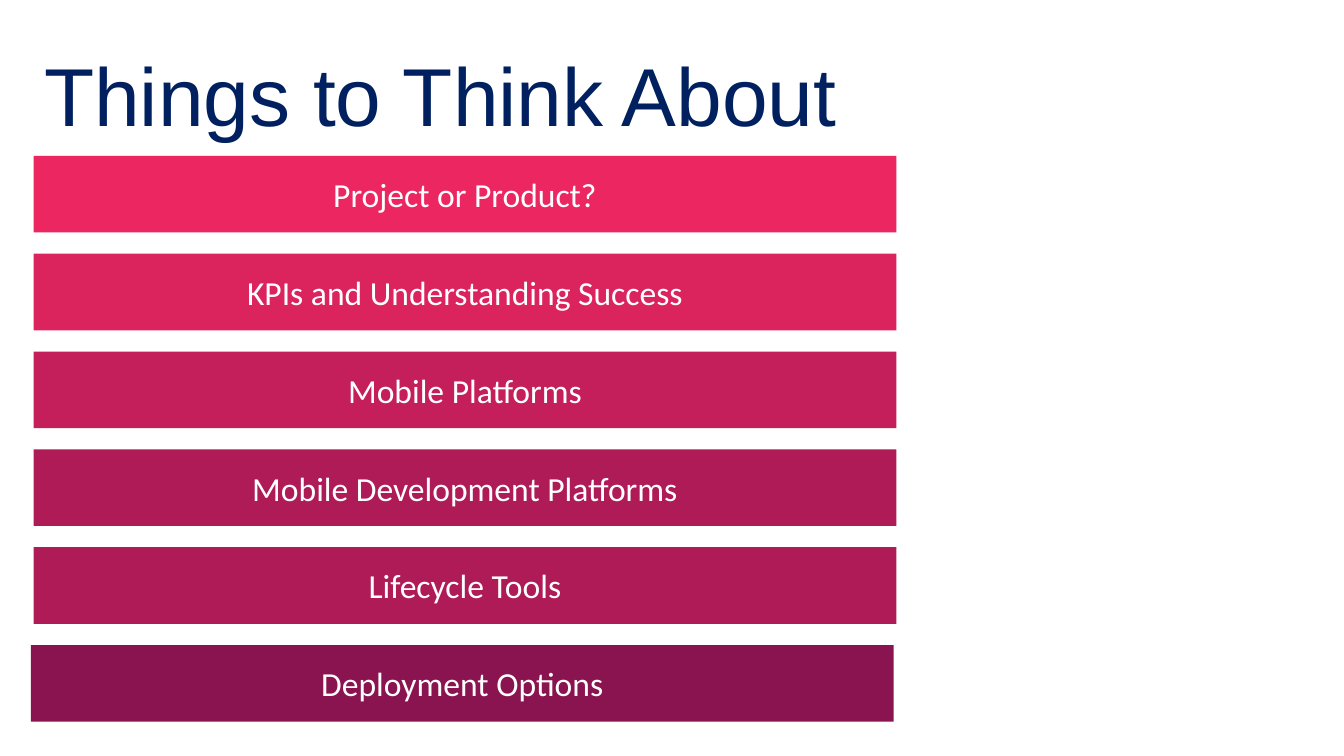
from pptx import Presentation
from pptx.dml.color import RGBColor
from pptx.enum.shapes import MSO_SHAPE
from pptx.enum.text import MSO_ANCHOR, PP_ALIGN
from pptx.util import Inches, Pt

SLIDE_WIDTH = 10
SLIDE_HEIGHT = SLIDE_WIDTH * 9 / 16
TITLE_FONT = dict(name="Arial", size=Pt(44))
BAR_FONT = dict(name="Calibri", size=Pt(18))
BAR_HEIGHT = 0.57
LAST_BAR_SHIFT = -0.02
TOPICS = [
    ("Project or Product?", "EC2661"),
    ("KPIs and Understanding Success", "DB235E"),
    ("Mobile Platforms", "C41F5A"),
    ("Mobile Development Platforms", "AF1B57"),
    ("Lifecycle Tools", "AF1B57"),
    ("Deployment Options", "8A144F"),
]


def rgb(value):
    return RGBColor.from_string(value)


def set_text(sp, text, font, color, align):
    tf = sp.text_frame
    tf.word_wrap = True
    tf.vertical_anchor = MSO_ANCHOR.MIDDLE
    p = tf.paragraphs[0]
    p.alignment = align
    r = p.add_run()
    r.text = text
    for name, value in font.items():
        setattr(r.font, name, value)
    r.font.color.rgb = rgb(color)


def add_title(s, text, left, top, width, height):
    sp = s.shapes.add_textbox(*map(Inches, (left, top, width, height)))
    set_text(sp, text, TITLE_FONT, "002060", PP_ALIGN.LEFT)


def add_topic_bars(s, topics, left, top, width, height):
    """Spread equal bars over the box; the last one sits slightly to the left."""
    pitch = (height - BAR_HEIGHT) / (len(topics) - 1)
    for i, (text, fill) in enumerate(topics):
        shift = LAST_BAR_SHIFT if i == len(topics) - 1 else 0
        box = (left + shift, top + i * pitch, width, BAR_HEIGHT)
        sp = s.shapes.add_shape(MSO_SHAPE.RECTANGLE, *map(Inches, box))
        sp.shadow.inherit = False
        sp.fill.solid()
        sp.fill.fore_color.rgb = rgb(fill)
        sp.line.fill.background()
        set_text(sp, text, BAR_FONT, "FFFFFF", PP_ALIGN.CENTER)


def main():
    prs = Presentation()
    prs.slide_width, prs.slide_height = Inches(SLIDE_WIDTH), Inches(SLIDE_HEIGHT)
    s = prs.slides.add_slide(prs.slide_layouts[6])
    add_title(s, "Things to Think About", 0.23, 0.23, 9.27, 0.94)
    add_topic_bars(s, TOPICS, 0.25, 1.16, 6.42, 4.21)
    prs.save("out.pptx")


if __name__ == "__main__":
    main()
